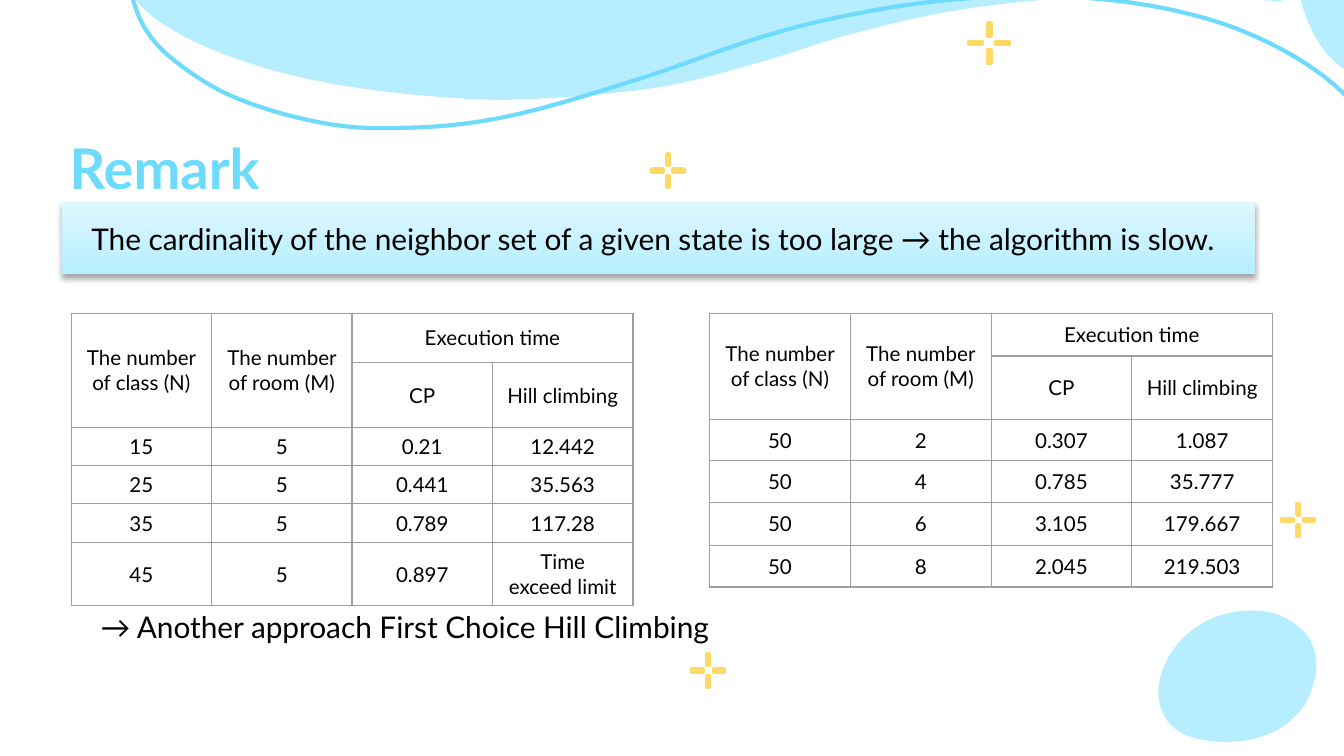
from dataclasses import dataclass
from typing import NamedTuple

from lxml import etree
from pptx import Presentation
from pptx.dml.color import RGBColor
from pptx.enum.shapes import MSO_SHAPE
from pptx.enum.text import MSO_ANCHOR, PP_ALIGN
from pptx.oxml.ns import qn
from pptx.util import Inches, Pt

RECTANGLE, ROUNDED = MSO_SHAPE.RECTANGLE, MSO_SHAPE.ROUNDED_RECTANGLE
TOP, MIDDLE, BOTTOM = MSO_ANCHOR.TOP, MSO_ANCHOR.MIDDLE, MSO_ANCHOR.BOTTOM
LEFT, CENTER = PP_ALIGN.LEFT, PP_ALIGN.CENTER


@dataclass(frozen=True)
class Theme:
    font: str = "Lato"
    ink: str = "000000"
    paper: str = "FFFFFF"
    accent: str = "6EDBFC"
    pale: str = "B6EEFF"
    palest: str = "DFF8FF"
    spark: str = "FFD966"
    grid: str = "9E9E9E"
    title_size: float = 30
    body_size: float = 16
    table_size: float = 11
    stroke: float = 2.25
    grid_stroke: float = 0.75


THEME = Theme()


class Point(NamedTuple):
    x: float
    y: float


class Sparkle(NamedTuple):
    center: Point
    scale: float


class Timing(NamedTuple):
    left: float
    width: float
    heights: list[float]
    results: list[tuple[str, str, str, str]]


SPARKLES = [
    Sparkle(Point(7.36, 0.32), 1),
    Sparkle(Point(4.97, 1.27), 0.8),
    Sparkle(Point(5.27, 4.99), 0.8),
    Sparkle(Point(9.66, 3.87), 0.8),
]
TIMINGS = [
    Timing(0.53, 4.18, [0.37, 0.48, 0.28, 0.28, 0.29, 0.47], [
        ("15", "5", "0.21", "12.442"),
        ("25", "5", "0.441", "35.563"),
        ("35", "5", "0.789", "117.28"),
        ("45", "5", "0.897", "Time exceed limit"),
    ]),
    Timing(5.28, 4.19, [0.32, 0.47, 0.31, 0.31, 0.32, 0.31], [
        ("50", "2", "0.307", "1.087"),
        ("50", "4", "0.785", "35.777"),
        ("50", "6", "3.105", "179.667"),
        ("50", "8", "2.045", "219.503"),
    ]),
]
HEADINGS = [
    ("The number of class (N)", "The number of room (M)", "Execution time", ""),
    ("", "", "CP", "Hill climbing"),
]
CORNER_BLOB = [(10.89, 0.09), (10.79, -0.18), (10.61, -0.39), (10.38, -0.52), (10.11, -0.56),
               (9.87, -0.51), (9.71, -0.36), (9.66, -0.13), (9.72, 0.13), (9.85, 0.37),
               (10.05, 0.55), (10.3, 0.65), (10.57, 0.63), (10.77, 0.52), (10.89, 0.29)]
BOTTOM_BLOB = [(9.47, 4.56), (9.21, 4.55), (8.98, 4.62), (8.79, 4.76), (8.66, 4.96),
               (8.62, 5.18), (8.69, 5.37), (8.85, 5.48), (9.08, 5.52), (9.32, 5.5),
               (9.54, 5.41), (9.71, 5.24), (9.79, 5.01), (9.77, 4.81), (9.67, 4.67)]
WAVE_EDGE = [(9.54, 0.01), (8.96, -0.02), (8.5, -0.03), (7.76, 0), (7.04, 0.09), (6.31, 0.26),
             (5.7, 0.45), (5.06, 0.62), (4.58, 0.69), (4.08, 0.73), (3.58, 0.74), (2.85, 0.68),
             (2.17, 0.56), (1.58, 0.37), (1.17, 0.15), (0.95, -0.07), (0.78, -0.28)]
WAVE_TOP = [(9.7, -0.64), (9.51, -0.53)]
RIBBON = [(-1.72, -1.46), (-1.13, -1.59), (-0.45, -1.63), (0.18, -1.54), (0.7, -1.32),
          (0.96, -1.02), (1.01, -0.69), (0.97, -0.19), (1.01, 0.06), (1.12, 0.27),
          (1.31, 0.46), (1.65, 0.68), (2.08, 0.84), (2.57, 0.94), (3.06, 0.95), (3.53, 0.91),
          (4.05, 0.8), (4.84, 0.56), (5.62, 0.29), (6.23, 0.13), (6.96, 0.01),
          (7.7, -0.03), (8.42, 0.02), (9.08, 0.17), (9.63, 0.42), (10.04, 0.74),
          (10.26, 1.12), (10.28, 1.38)]


def rgb(color: str) -> RGBColor:
    return RGBColor.from_string(color)


def smooth(knots: list, closed: bool = False, steps: int = 6) -> list[Point]:
    """Catmull-Rom curve through the knots."""
    ring = [knots[-1], *knots, *knots[:2]] if closed else [knots[0], *knots, knots[-1]]
    curve = []
    for a, b, c, d in zip(ring, ring[1:], ring[2:], ring[3:]):
        for step in range(steps):
            t = step / steps
            curve.append(Point(*(
                q + t * (r - p) / 2 + t**2 * (2 * p - 5 * q + 4 * r - s) / 2
                + t**3 * (3 * q - p - 3 * r + s) / 2
                for p, q, r, s in zip(a, b, c, d))))
    return curve if closed else curve + [Point(*knots[-1])]


def draw_outline(shapes, points: list, *, fill: str = "", line: str = "") -> None:
    """Filled outlines are closed; others stay open."""
    corners = [(Inches(x), Inches(y)) for x, y in points]
    builder = shapes.build_freeform(*corners[0])
    builder.add_line_segments(corners[1:], close=bool(fill))
    outline = builder.convert_to_shape()
    outline.shadow.inherit = False
    if fill:
        outline.fill.solid()
        outline.fill.fore_color.rgb = rgb(fill)
    else:
        outline.fill.background()
    if line:
        outline.line.color.rgb = rgb(line)
        outline.line.width = Pt(THEME.stroke)
    else:
        outline.line.fill.background()


def draw_sparkle(shapes, sparkle: Sparkle) -> None:
    group = shapes.add_group_shape()
    length, thickness, reach = (v * sparkle.scale for v in (0.1, 0.02, 0.1))
    for dx, dy in ((0, -1), (0, 1), (1, 0), (-1, 0)):
        width, height = (length, thickness) if dx else (thickness, length)
        ray = group.shapes.add_shape(
            RECTANGLE,
            Inches(sparkle.center.x + dx * reach - width / 2),
            Inches(sparkle.center.y + dy * reach - height / 2),
            Inches(width), Inches(height))
        ray.shadow.inherit = False
        ray.fill.solid()
        ray.fill.fore_color.rgb = rgb(THEME.paper)
        ray.line.color.rgb = rgb(THEME.spark)
        ray.line.width = Pt(THEME.stroke)
        etree.SubElement(ray.line._ln, qn("a:round"))


def write(frame, text: str, *, size: float, color: str = THEME.ink, bold: bool = False,
          align: PP_ALIGN = LEFT, spacing: float = 1.0) -> None:
    paragraph = frame.paragraphs[0]
    paragraph.alignment = align
    paragraph.line_spacing = spacing
    run = paragraph.add_run()
    run.text = text
    run.font.name, run.font.size, run.font.bold = THEME.font, Pt(size), bold
    run.font.color.rgb = rgb(color)


def place_frame(shape, anchor: MSO_ANCHOR, left: float, vertical: float):
    """Set wrapping, anchor and insets; return the text frame."""
    frame = shape.text_frame
    frame.word_wrap, frame.vertical_anchor = True, anchor
    frame.margin_left, frame.margin_right = Inches(left), Inches(0.1)
    frame.margin_top = frame.margin_bottom = Inches(vertical)
    return frame


def draw_banner(shapes, text: str) -> None:
    banner = shapes.add_shape(ROUNDED, Inches(0.46), Inches(1.5), Inches(8.88), Inches(0.54))
    banner.adjustments[0] = 0
    banner.line.fill.background()
    banner.fill.gradient()
    banner.fill.gradient_angle = 270
    for stop, color in zip(banner.fill.gradient_stops, (THEME.palest, THEME.pale)):
        stop.color.rgb = rgb(color)
    banner.shadow.inherit = False
    effects = banner._element.spPr.find(qn("a:effectLst"))
    shadow = etree.SubElement(effects, qn("a:outerShdw"), blurRad=str(Inches(0.04)),
                              dist=str(Inches(0.03)), dir="5400000", rotWithShape="0")
    shade = etree.SubElement(shadow, qn("a:srgbClr"), val=THEME.ink)
    etree.SubElement(shade, qn("a:alpha"), val="35000")
    write(place_frame(banner, TOP, 0.22, 0.1), text, size=THEME.body_size, spacing=1.15)


def border_cell(cell) -> None:
    properties = cell._tc.get_or_add_tcPr()
    for index, side in enumerate(("a:lnL", "a:lnR", "a:lnT", "a:lnB")):
        edge = etree.Element(qn(side), w=str(Pt(THEME.grid_stroke)))
        paint = etree.SubElement(edge, qn("a:solidFill"))
        etree.SubElement(paint, qn("a:srgbClr"), val=THEME.grid)
        properties.insert(index, edge)


def draw_timing(shapes, timing: Timing) -> None:
    rows = HEADINGS + timing.results
    table = shapes.add_table(len(rows), 4, Inches(timing.left), Inches(2.33),
                             Inches(timing.width), Inches(sum(timing.heights))).table
    table.first_row = table.horz_banding = False
    for row, height in zip(table.rows, timing.heights):
        row.height = Inches(height)
    for row_index, texts in enumerate(rows):
        for column_index, text in enumerate(texts):
            cell = table.cell(row_index, column_index)
            cell.fill.background()
            cell.vertical_anchor = MIDDLE
            border_cell(cell)
            if text:
                write(cell.text_frame, text, size=THEME.table_size, align=CENTER)
    for start, end in (((0, 0), (1, 0)), ((0, 1), (1, 1)), ((0, 2), (0, 3))):
        table.cell(*start).merge(table.cell(*end))


def main() -> None:
    deck = Presentation()
    deck.slide_width = Inches(10)
    deck.slide_height = deck.slide_width * 9 // 16
    shapes = deck.slides.add_slide(deck.slide_layouts[6]).shapes

    draw_outline(shapes, smooth(CORNER_BLOB, closed=True), fill=THEME.pale)
    draw_outline(shapes, smooth(WAVE_EDGE) + WAVE_TOP, fill=THEME.pale)
    draw_outline(shapes, smooth(RIBBON), line=THEME.accent)
    draw_banner(shapes, "The cardinality of the neighbor set of a given state is too large "
                        "→ the algorithm is slow.")
    for sparkle in SPARKLES:
        draw_sparkle(shapes, sparkle)
    draw_outline(shapes, smooth(BOTTOM_BLOB, closed=True), fill=THEME.pale)

    title = shapes.add_textbox(Inches(0.42), Inches(0.64), Inches(7.76), Inches(0.95))
    write(place_frame(title, BOTTOM, 0.1, 0.1), "Remark",
          size=THEME.title_size, color=THEME.accent, bold=True)
    for timing in TIMINGS:
        draw_timing(shapes, timing)
    conclusion = shapes.add_textbox(Inches(0.65), Inches(4.48), Inches(5.16), Inches(0.37))
    write(place_frame(conclusion, TOP, 0.1, 0.05),
          "→ Another approach First Choice Hill Climbing", size=THEME.body_size)
    deck.save("out.pptx")


if __name__ == "__main__":
    main()
